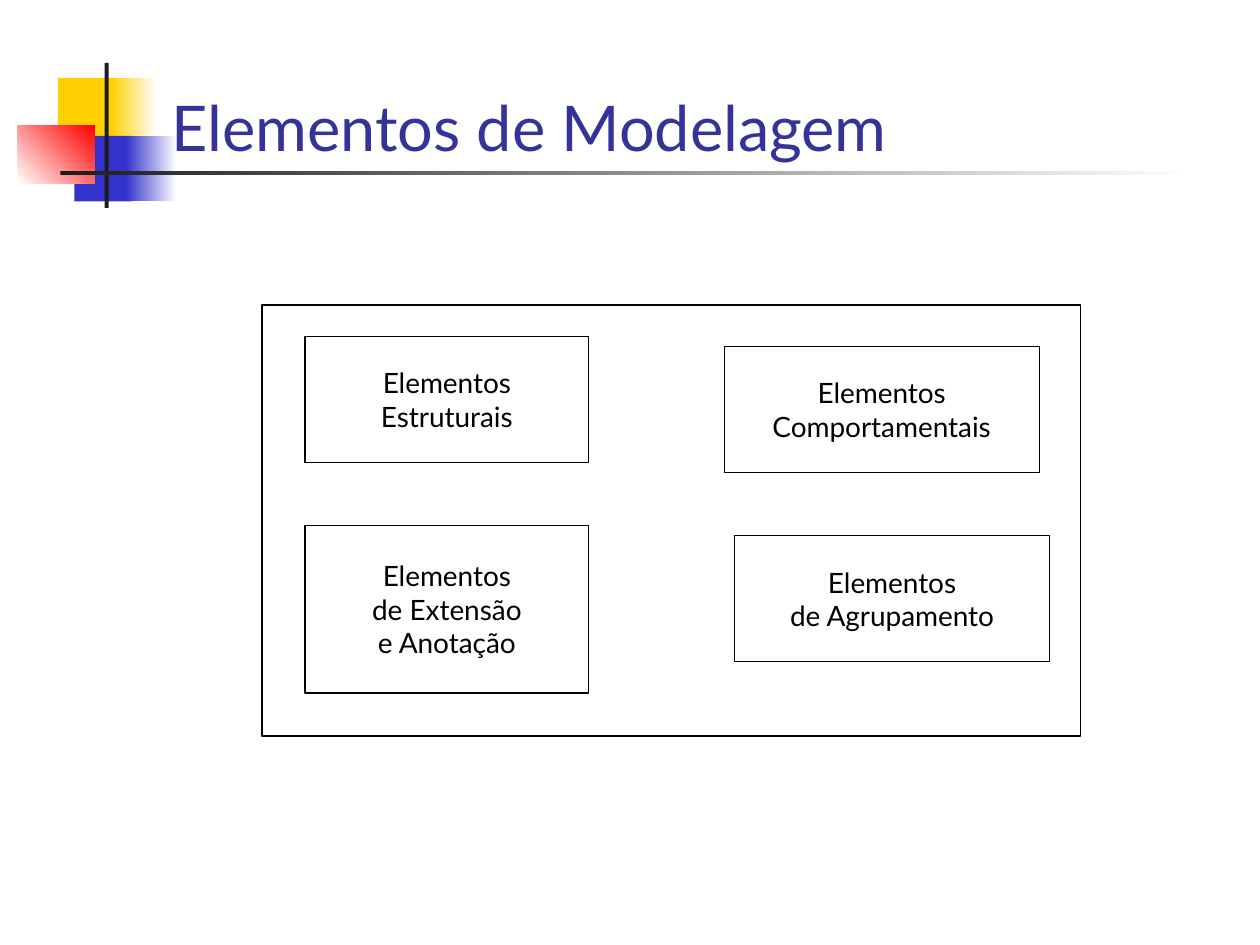
from dataclasses import dataclass
from typing import Optional

from pptx import Presentation
from pptx.dml.color import RGBColor
from pptx.enum.shapes import MSO_SHAPE as Preset
from pptx.enum.text import MSO_ANCHOR as Anchor, MSO_AUTO_SIZE as AutoSize, PP_ALIGN as Align
from pptx.util import Cm, Pt

FONT = "Lato"
WHITE = RGBColor(0xFF, 0xFF, 0xFF)
BLACK = RGBColor(0x00, 0x00, 0x00)
YELLOW = RGBColor(0xFF, 0xCF, 0x01)
BLUE = RGBColor(0x33, 0x33, 0xCC)
RED = RGBColor(0xFF, 0x00, 0x00)
CHARCOAL = RGBColor(0x1C, 0x1C, 0x1C)
TITLE_BLUE = RGBColor(0x33, 0x33, 0x99)


@dataclass(frozen=True)
class Area:
    left: float
    top: float
    width: float
    height: float

    def lengths(self) -> tuple:
        return Cm(self.left), Cm(self.top), Cm(self.width), Cm(self.height)


@dataclass(frozen=True)
class Ornament:
    area: Area
    color: RGBColor
    fade_to: Optional[RGBColor] = None
    angle: float = 0


@dataclass(frozen=True)
class Box:
    area: Area
    text: str = ""


ORNAMENTS = [
    Ornament(Area(1.17, 1.57, 1.22, 1.32), YELLOW),
    Ornament(Area(2.24, 1.57, 0.91, 1.32), YELLOW, WHITE),
    Ornament(Area(1.5, 2.74, 1.17, 1.32), BLUE),
    Ornament(Area(2.54, 2.74, 1.02, 1.32), BLUE, WHITE),
    Ornament(Area(0.36, 2.54, 1.55, 1.17), WHITE, RED, 45),
    Ornament(Area(2.11, 1.27, 0.08, 2.92), CHARCOAL),
    Ornament(Area(1.22, 3.45, 22.86, 0.08), CHARCOAL, WHITE),
]

BOXES = [
    Box(Area(6.15, 6.78, 5.72, 2.54), "Elementos\nEstruturais"),
    Box(Area(14.81, 10.8, 6.35, 2.54), "Elementos\nde Agrupamento"),
    Box(Area(14.6, 6.98, 6.35, 2.54), "Elementos\nComportamentais"),
    Box(Area(6.15, 10.59, 5.72, 3.38), "Elementos\nde Extensão\ne Anotação"),
    Box(Area(5.28, 6.15, 16.51, 8.69)),
]


def add_rectangle(slide, area: Area):
    shape = slide.shapes.add_shape(Preset.RECTANGLE, *area.lengths())
    shape.shadow.inherit = False
    return shape


def format_paragraph(paragraph, size: float, color: RGBColor, alignment) -> None:
    paragraph.alignment = alignment
    for run in paragraph.runs:
        run.font.name = FONT
        run.font.size = Pt(size)
        run.font.color.rgb = color


def draw_ornament(slide, ornament: Ornament) -> None:
    shape = add_rectangle(slide, ornament.area)
    shape.line.fill.background()
    if ornament.fade_to is None:
        shape.fill.solid()
        shape.fill.fore_color.rgb = ornament.color
        return
    shape.fill.gradient()
    shape.fill.gradient_angle = ornament.angle
    colors = (ornament.color, ornament.fade_to)
    for position, (stop, color) in enumerate(zip(shape.fill.gradient_stops, colors)):
        stop.position = position
        stop.color.rgb = color


def draw_box(slide, box: Box) -> None:
    shape = add_rectangle(slide, box.area)
    shape.fill.background()
    shape.line.color.rgb = BLACK
    shape.line.width = Pt(0.75)
    if box.text:
        text_frame = shape.text_frame
        text_frame.text = box.text
        text_frame.word_wrap = False
        text_frame.vertical_anchor = Anchor.MIDDLE
        for paragraph in text_frame.paragraphs:
            format_paragraph(paragraph, 16, BLACK, Align.CENTER)


def set_title(slide, text: str, area: Area) -> None:
    title = slide.shapes.title
    title.element.getparent().append(title.element)
    title.left, title.top, title.width, title.height = area.lengths()
    text_frame = title.text_frame
    text_frame.text = text
    text_frame.auto_size = AutoSize.NONE
    text_frame.vertical_anchor = Anchor.BOTTOM
    format_paragraph(text_frame.paragraphs[0], 36, TITLE_BLUE, Align.LEFT)


def main() -> None:
    presentation = Presentation()
    presentation.slide_width = Cm(25.4)
    presentation.slide_height = Cm(19.05)
    slide = presentation.slides.add_slide(presentation.slide_layouts[5])
    for ornament in ORNAMENTS:
        draw_ornament(slide, ornament)
    set_title(slide, "Elementos de Modelagem", Area(3.2, 0.53, 21.64, 2.9))
    for box in BOXES:
        draw_box(slide, box)
    presentation.save("out.pptx")


if __name__ == "__main__":
    main()
